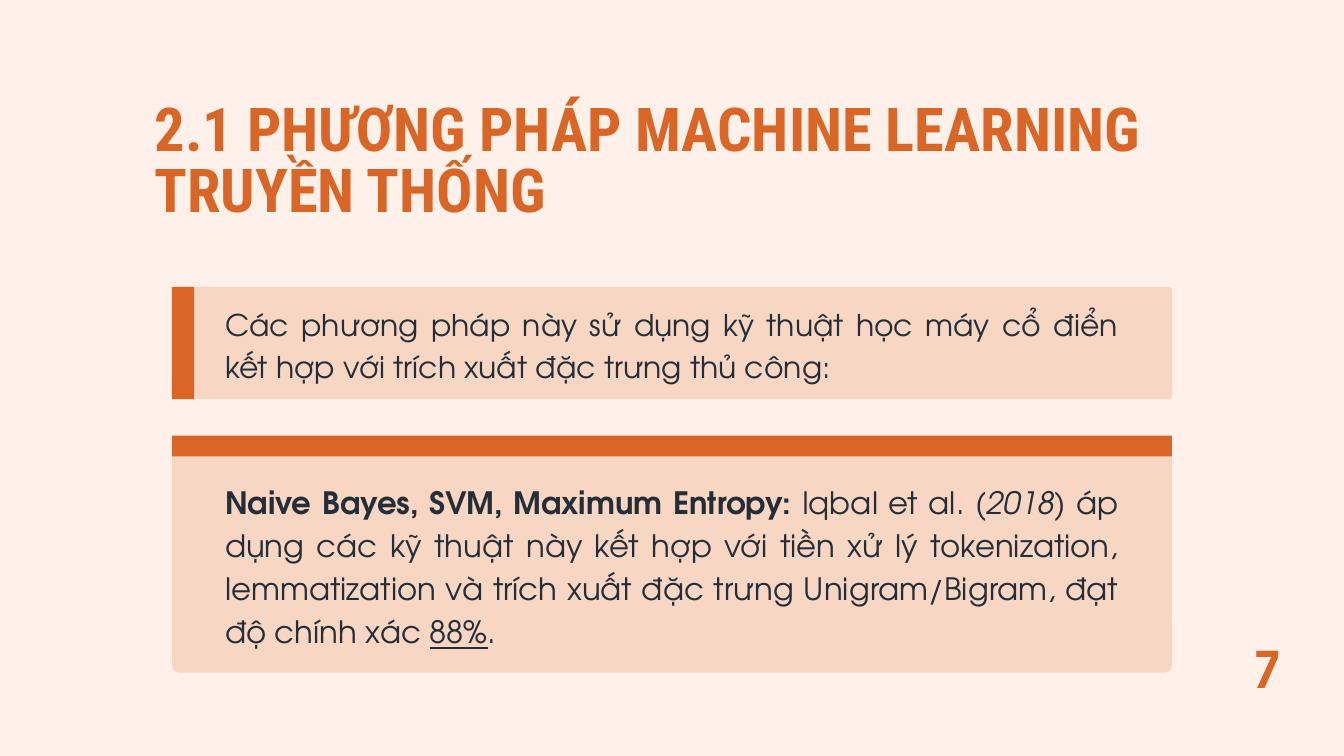
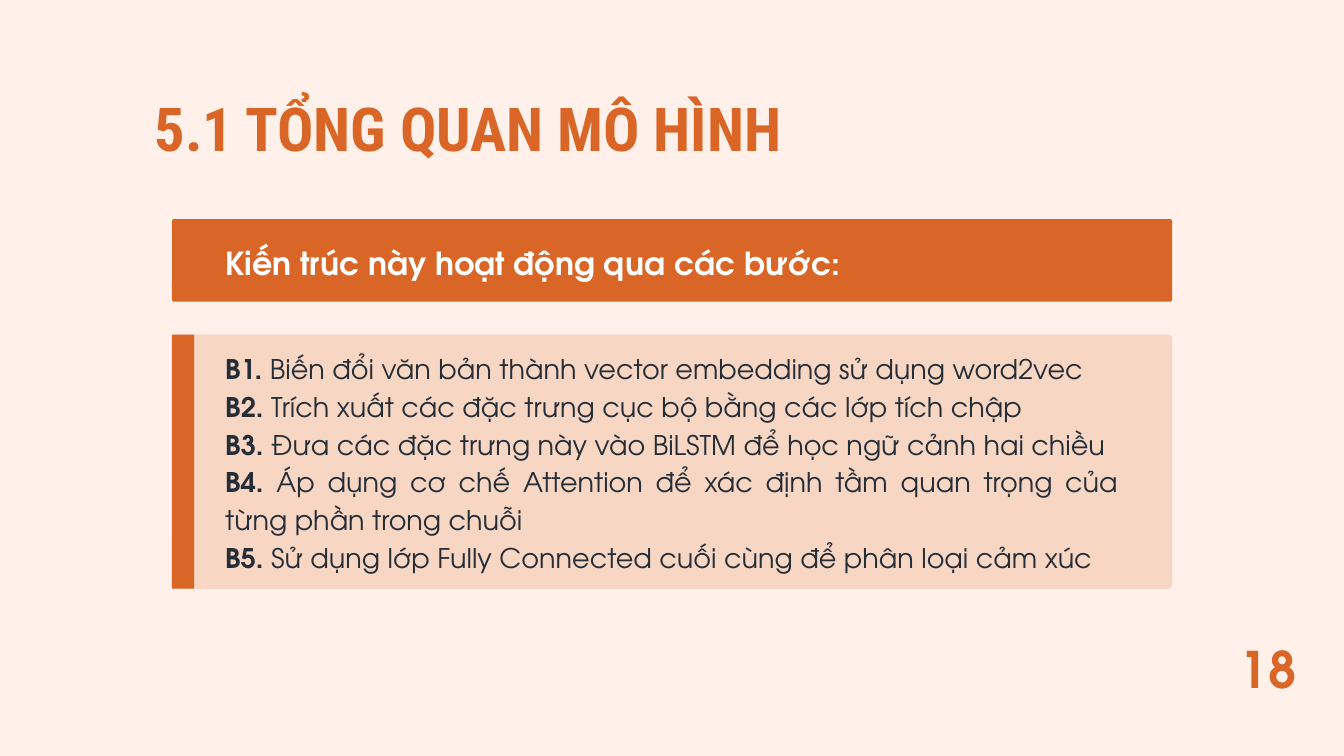
import collections

import lxml.etree
import pptx
import pptx.dml.color
import pptx.enum.shapes
import pptx.enum.text
import pptx.oxml.ns
import pptx.util

Pt = pptx.util.Pt
ALIGN = pptx.enum.text.PP_ALIGN
SHAPE = pptx.enum.shapes.MSO_SHAPE

COLOURS = {"page": "FFF0E9", "accent": "D96627", "ink": "252D37", "white": "FFFFFF"}
HEADING_FONT = "Roboto Condensed"
BODY_FONT = "TeX Gyre Adventor"

PANEL_LEFT, PANEL_WIDTH = 184.3, 1071.4
TEXT_INSET = 56.9
ACCENT_SIZE = 23.8
TINT = 19  # opacity of the pale panels, in percent

Box = collections.namedtuple("Box", "left top width height")

# Run formats
PLAIN = {}
BOLD = {"bold": True}
ITALIC = {"italic": True}
UNDERLINED = {"underline": True}


def rgb(key):
    return pptx.dml.color.RGBColor.from_string(COLOURS[key])


def add_text(slide, box, paragraphs, size, spacing, font=BODY_FONT,
             colour="accent", align=ALIGN.LEFT):
    """Each paragraph is a list of (text, format) runs; spacing is a multiple of size."""
    frame = slide.shapes.add_textbox(*map(Pt, box)).text_frame
    frame_format = {"word_wrap": True, "margin_left": 0, "margin_top": 0,
                    "margin_right": 0, "margin_bottom": 0,
                    "auto_size": pptx.enum.text.MSO_AUTO_SIZE.SHAPE_TO_FIT_TEXT}
    for name, value in frame_format.items():
        setattr(frame, name, value)
    for index, runs in enumerate(paragraphs):
        paragraph = frame.add_paragraph() if index else frame.paragraphs[0]
        paragraph.alignment = align
        paragraph.line_spacing = Pt(round(size * spacing, 2))
        for text, run_format in runs:
            run = paragraph.add_run()
            run.text = text
            run.font.color.rgb = rgb(colour)
            for name, value in {"name": font, "size": Pt(size), **run_format}.items():
                setattr(run.font, name, value)


def add_block(slide, box, radius=0, opacity=100):
    kind = SHAPE.ROUNDED_RECTANGLE if radius else SHAPE.RECTANGLE
    block = slide.shapes.add_shape(kind, *map(Pt, box))
    block.shadow.inherit = False
    block.line.fill.background()
    block.fill.solid()
    block.fill.fore_color.rgb = rgb("accent")
    if radius:
        block.adjustments[0] = radius / min(box.width, box.height)
    if opacity < 100:
        qn = pptx.oxml.ns.qn
        fill_colour = block._element.spPr.find(qn("a:solidFill"))[0]
        lxml.etree.SubElement(fill_colour, qn("a:alpha"), val=str(opacity * 1000))


def add_panel(slide, top, height, paragraphs, size, text_top, radius,
              edge=None, opacity=TINT, colour="ink"):
    """Panel with text, and an accent bar along its left or top edge."""
    box = Box(PANEL_LEFT, top, PANEL_WIDTH, height)
    add_block(slide, box, radius, opacity)
    if edge == "left":
        add_block(slide, box._replace(width=ACCENT_SIZE))
    elif edge == "top":
        add_block(slide, box._replace(top=top - 1.4, height=22.3))
    text_box = Box(box.left + TEXT_INSET, top + text_top,
                   box.width - 2 * TEXT_INSET, height - 2 * text_top)
    add_text(slide, text_box, paragraphs, size, 1.4, colour=colour, align=ALIGN.JUSTIFY)


def add_page(prs, title, number, title_lines=1):
    """Blank slide with background, title and page number."""
    slide = prs.slides.add_slide(prs.slide_layouts[6])
    slide.background.fill.solid()
    slide.background.fill.fore_color.rgb = rgb("page")
    add_text(slide, Box(1316.9, 704.9, 83.5, 48.2), [[(str(number), BOLD)]],
             54, 0.8, align=ALIGN.CENTER)
    add_text(slide, Box(165.6, 110.9, 1080, 66.6 * title_lines), [[(title, BOLD)]],
             64.8, 1, font=HEADING_FONT)
    return slide


def traditional_methods(prs):
    slide = add_page(prs, "2.1 PHƯƠNG PHÁP MACHINE LEARNING TRUYỀN THỐNG", 7, title_lines=2)

    # Introduction
    introduction = [[("Các phương pháp này sử dụng kỹ thuật học máy cổ điển "
                      "kết hợp với trích xuất đặc trưng thủ công:", PLAIN)]]
    add_panel(slide, 307.4, 120.2, introduction, 32, 15.1, 3.6, edge="left")

    # Study and its accuracy
    study = [[
        ("Naive Bayes, SVM, Maximum Entropy:", BOLD),
        (" Iqbal et al. ", PLAIN),
        ("(2018)", ITALIC),
        (" áp dụng các kỹ thuật này kết hợp với tiền xử lý tokenization, lemmatization "
         "và trích xuất đặc trưng Unigram/Bigram, đạt độ chính xác ", PLAIN),
        ("88%", UNDERLINED),
        (".", PLAIN),
    ]]
    add_panel(slide, 468, 252.7, study, 33, 43.2, 7.8, edge="top")


def model_overview(prs):
    slide = add_page(prs, "5.1 TỔNG QUAN MÔ HÌNH", 18)

    # Lead-in band
    lead_in = [[("Kiến trúc này hoạt động qua các bước:", BOLD)]]
    add_panel(slide, 234.7, 88.6, lead_in, 34, 19.4, 2.2, opacity=100, colour="white")

    # Numbered steps
    steps = [
        "Biến đổi văn bản thành vector embedding sử dụng word2vec",
        "Trích xuất các đặc trưng cục bộ bằng các lớp tích chập",
        "Đưa các đặc trưng này vào BiLSTM để học ngữ cảnh hai chiều",
        "Áp dụng cơ chế Attention để xác định tầm quan trọng của từng phần trong chuỗi",
        "Sử dụng lớp Fully Connected cuối cùng để phân loại cảm xúc",
    ]
    paragraphs = [[(f"B{number}. ", BOLD), (step, PLAIN)]
                  for number, step in enumerate(steps, 1)]
    add_panel(slide, 358.6, 272.2, paragraphs, 29, 13, 3.6, edge="left")


def main():
    prs = pptx.Presentation()
    prs.slide_width, prs.slide_height = Pt(1440), Pt(810)
    traditional_methods(prs)
    model_overview(prs)
    prs.save("out.pptx")


if __name__ == "__main__":
    main()
